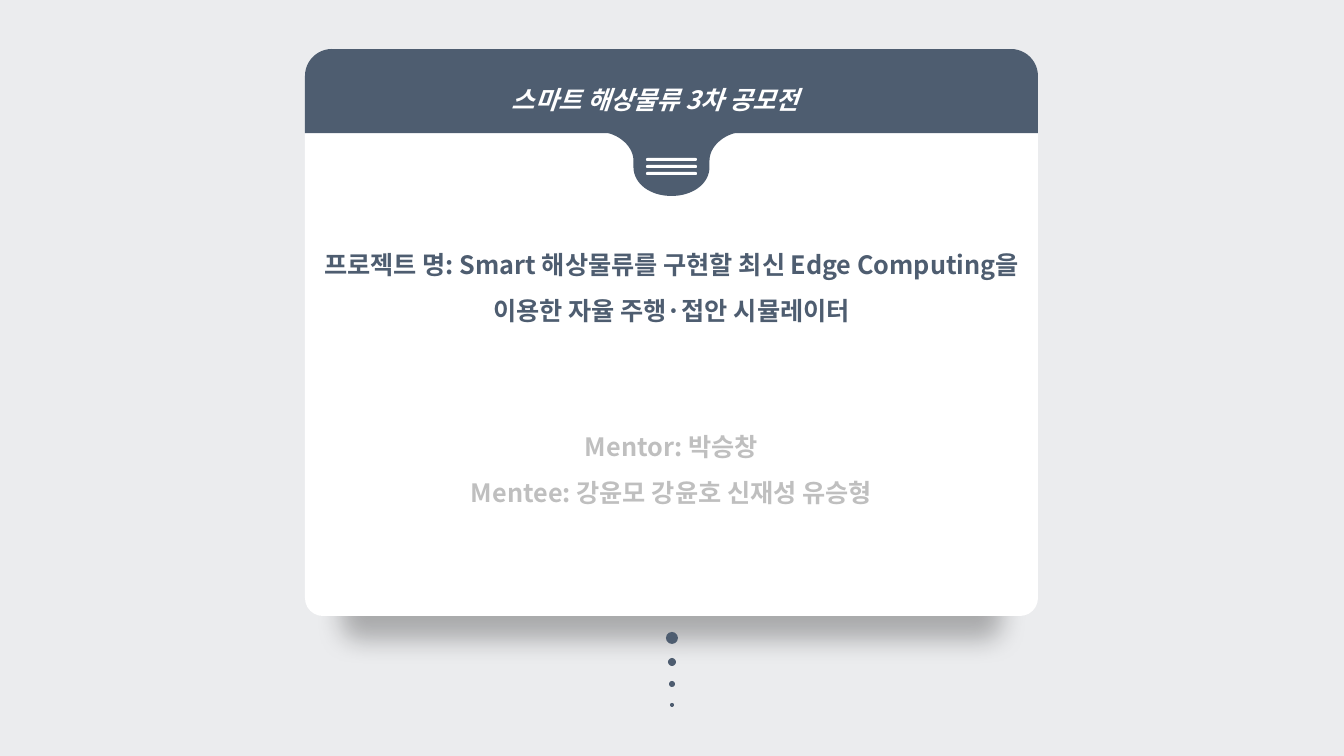
from lxml import etree
from pptx import Presentation
from pptx import util as u
from pptx.dml import color
from pptx.enum import shapes, text
from pptx.oxml import ns

NAVY, WHITE, GREY, BACK = "4E5D70", "FFFFFF", "BFBFBF", "EBECEE"
FONT = "Noto Sans CJK KR"
TITLE = "스마트 해상물류 3차 공모전"
LINES = [
    ("프로젝트 명: Smart 해상물류를 구현할 최신 Edge Computing을 이용한 자율 주행·접안 시뮬레이터", NAVY, 0),
    ("Mentor: 박승창", GREY, 65),
    ("Mentee: 강윤모 강윤호 신재성 유승형", GREY, 0),
]
CARD = (305, 131, 733, 485)
HEAD = (305, 49, 733, 84)
LABEL = (289, 64, 733, 50)
MID = 671.5
EDGE = [(73, 131), (73, 132), (68, 132)]
NECK = [(68, 132), (51, 135), (38, 147), (38, 161)]
BOWL = [(38, 167), (38, 184), (21, 196), (0, 196)]
BAR, STEP, BARS = (646, 158, 51, 3), 7, 3
DOTS = [(638, 12), (662, 8), (684, 6), (705, 4)]


def px(n):
    return round(n * 914400 / 100.8)


def paint(fill, tone):
    fill.solid()
    fill.fore_color.rgb = color.RGBColor.from_string(tone)


def style(shape, tone):
    shape.shadow.inherit = False
    paint(shape.fill, tone)
    shape.line.fill.background()


def add(kind, box, tone, *adj):
    shape = slide.shapes.add_shape(kind, *map(px, box))
    style(shape, tone)
    for i, val in enumerate(adj):
        shape.adjustments[i] = val
    return shape


def write(par, words, tone, slant=False):
    par.alignment = text.PP_ALIGN.CENTER
    par.line_spacing = 1.5
    run = par.add_run()
    run.text = words
    font = run.font
    font.name, font.size, font.bold = FONT, u.Pt(18), True
    if slant:
        font.italic = True
    paint(font.fill, tone)
    east = etree.SubElement(run._r.get_or_add_rPr(), ns.qn("a:ea"))
    east.set("typeface", FONT)


def curve(a, b, c, d, parts=24):
    for i in range(parts + 1):
        t = i / parts
        s = 1 - t
        yield tuple(s**3 * p + 3 * s * s * t * q + 3 * s * t * t * r + t**3 * v
                    for p, q, r, v in zip(a, b, c, d))


def shade(shape):
    glow = shape._element.spPr.find(ns.qn("a:effectLst"))
    cast = etree.SubElement(
        glow, ns.qn("a:outerShdw"), blurRad=str(u.Pt(19)), dist=str(u.Pt(34)),
        dir="5400000", sx="90000", sy="90000", algn="ctr", rotWithShape="0")
    tone = etree.SubElement(cast, ns.qn("a:srgbClr"), val="000000")
    etree.SubElement(tone, ns.qn("a:alpha"), val="27000")


deck = Presentation()
deck.slide_width, deck.slide_height = px(1344), px(756)
slide = deck.slides.add_slide(deck.slide_layouts[6])
paint(slide.background.fill, BACK)
kinds = shapes.MSO_SHAPE

card = add(kinds.ROUND_2_SAME_RECTANGLE, CARD, WHITE, 0, 0.037)
shade(card)
frame = card.text_frame
frame.word_wrap = True
frame.vertical_anchor = text.MSO_ANCHOR.MIDDLE
for i, (words, tone, gap) in enumerate(LINES):
    par = frame.add_paragraph() if i else frame.paragraphs[0]
    par.space_before = u.Pt(gap)
    write(par, words, tone)

half = EDGE + list(curve(*NECK)) + list(curve(*BOWL))
full = half + [(-x, y) for x, y in reversed(half)]
dots = [(px(MID + x), px(y)) for x, y in full]
pen = slide.shapes.build_freeform(*dots[0])
pen.add_line_segments(dots[1:], close=True)
style(pen.convert_to_shape(), NAVY)

left, top, wide, high = BAR
for i in range(BARS):
    add(kinds.ROUNDED_RECTANGLE, (left, top + i * STEP, wide, high), WHITE, 0.5)

add(kinds.ROUND_2_SAME_RECTANGLE, HEAD, NAVY, 0.321, 0)
for y, size in DOTS:
    add(kinds.OVAL, (672 - size / 2, y - size / 2, size, size), NAVY)

label = slide.shapes.add_textbox(*map(px, LABEL)).text_frame
label.word_wrap = True
label.auto_size = text.MSO_AUTO_SIZE.SHAPE_TO_FIT_TEXT
write(label.paragraphs[0], TITLE, WHITE, True)

deck.save("out.pptx")
